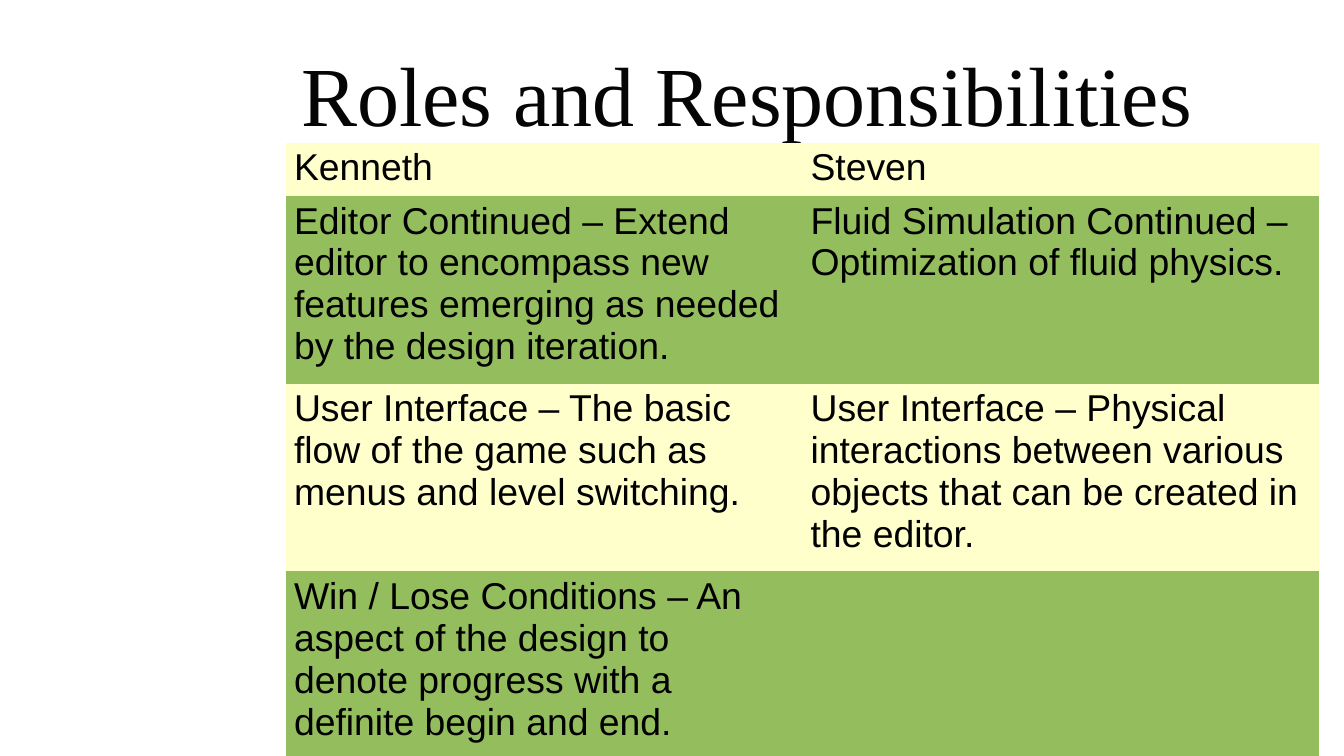
import pptx
import pptx.util
import pptx.dml.color
import pptx.enum.text

Inches = pptx.util.Inches
Pt = pptx.util.Pt
RGB = pptx.dml.color.RGBColor.from_string
ALIGN = pptx.enum.text.PP_ALIGN
ANCHOR = pptx.enum.text.MSO_ANCHOR

TITLE = "Roles and Responsibilities"
ROLES = [
    ("Kenneth", "Steven"),
    ("Editor Continued – Extend editor to encompass new features emerging "
     "as needed by the design iteration.",
     "Fluid Simulation Continued – Optimization of fluid physics."),
    ("User Interface – The basic flow of the game such as menus and level "
     "switching.",
     "User Interface – Physical interactions between various objects that "
     "can be created in the editor."),
    ("Win / Lose Conditions – An aspect of the design to denote progress "
     "with a definite begin and end.", ""),
]
THEME = {
    "title": {"name": "Times New Roman", "size": Pt(72), "color": "050505"},
    "body": {"name": "Arial", "size": Pt(32), "color": "000000"},
    "bands": ("FFFFCC", "94BD5E"),
}
PLAIN = "{2D5ABB26-0587-4C30-8999-92F81FD0307C}"  # no style, no grid
HEAD, ROW, COL = 0.6, 2.1, 6.15


def style(font, form):
    for key, value in form.items():
        if key == "color":
            font.color.rgb = RGB(value)
        else:
            setattr(font, key, value)


def add_title(slide):
    box = slide.shapes.add_textbox(
        Inches(2.6), Inches(0.36), Inches(12.59), Inches(1.5))
    frame = box.text_frame
    form = {"word_wrap": True, "vertical_anchor": ANCHOR.MIDDLE,
            "margin_left": 0, "margin_top": 0,
            "margin_right": 0, "margin_bottom": 0}
    for key, value in form.items():
        setattr(frame, key, value)
    line = frame.paragraphs[0]
    line.alignment = ALIGN.CENTER
    run = line.add_run()
    run.text = TITLE
    style(run.font, THEME["title"])


def add_roles(slide):
    rows, cols = len(ROLES), len(ROLES[0])
    high = HEAD + ROW * (rows - 1)
    frame = slide.shapes.add_table(
        rows, cols, Inches(3.4), Inches(1.7), Inches(COL * cols), Inches(high))
    table = frame.table
    table.first_row = table.horz_banding = False
    table._tbl.tblPr.find(pptx.oxml.ns.qn("a:tableStyleId")).text = PLAIN
    for r, texts in enumerate(ROLES):
        table.rows[r].height = Inches(ROW if r else HEAD)
        for c, text in enumerate(texts):
            cell = table.cell(r, c)
            cell.fill.solid()
            cell.fill.fore_color.rgb = RGB(THEME["bands"][r % 2])
            if text:
                run = cell.text_frame.paragraphs[0].add_run()
                run.text = text
                style(run.font, THEME["body"])


def main():
    deck = pptx.Presentation()
    deck.slide_width, deck.slide_height = Inches(16), Inches(9)
    slide = deck.slides.add_slide(deck.slide_layouts[6])
    add_title(slide)
    add_roles(slide)
    deck.save("out.pptx")


if __name__ == "__main__":
    main()
